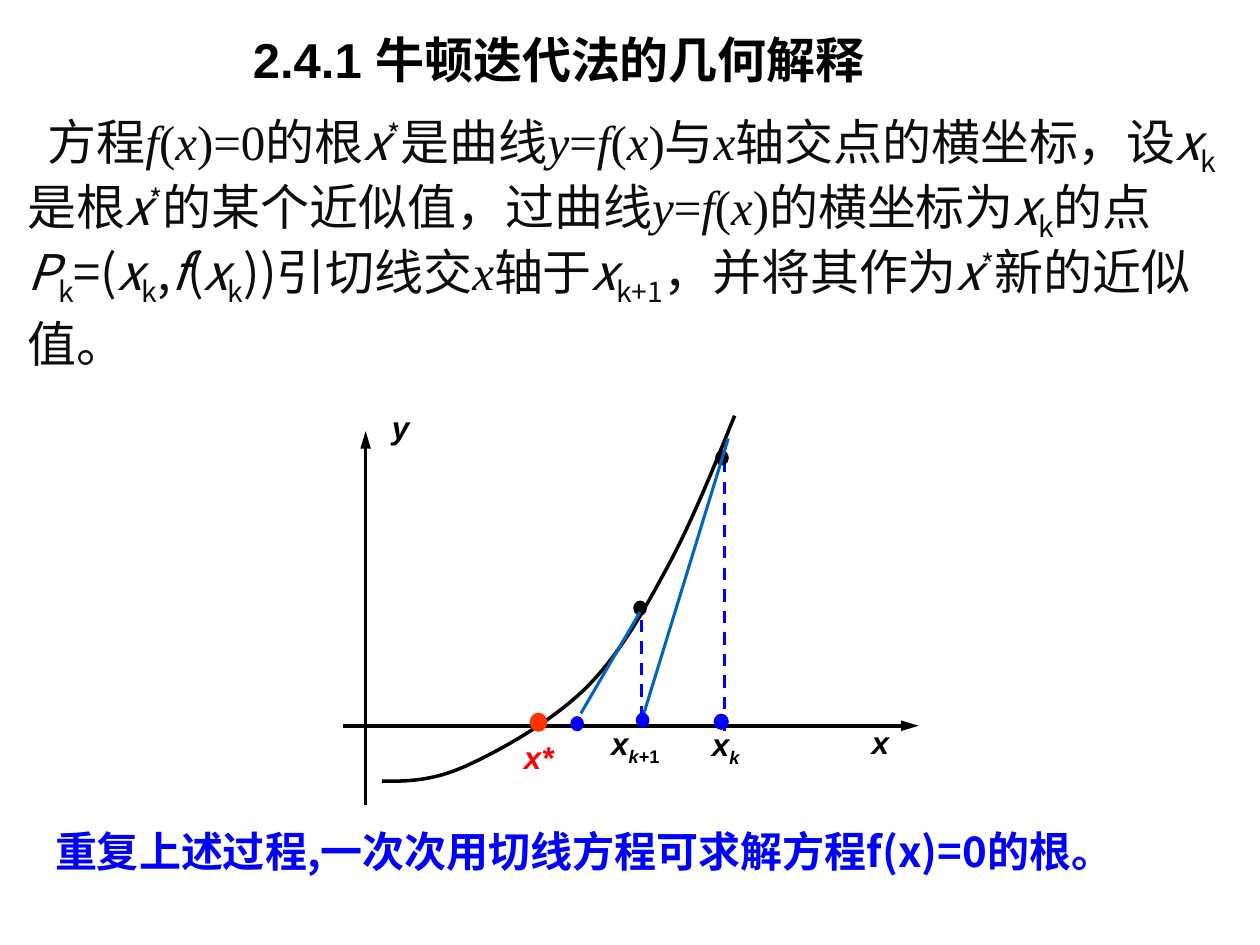
from lxml import etree
from pptx import Presentation
from pptx.dml.color import RGBColor
from pptx.enum.dml import MSO_LINE
from pptx.enum.shapes import MSO_CONNECTOR, MSO_SHAPE
from pptx.enum.text import MSO_ANCHOR
from pptx.oxml.ns import qn
from pptx.util import Cm, Pt

STRAIGHT = MSO_CONNECTOR.STRAIGHT
OVAL = MSO_SHAPE.OVAL
DASH = MSO_LINE.DASH
TOP, MIDDLE = MSO_ANCHOR.TOP, MSO_ANCHOR.MIDDLE

BLACK = RGBColor(0x00, 0x00, 0x00)
INK = RGBColor(0x0D, 0x0D, 0x0D)
BLUE = RGBColor(0x00, 0x00, 0xFF)
TANGENT = RGBColor(0x05, 0x63, 0xC1)
RED = RGBColor(0xFF, 0x00, 0x00)
ORANGE = RGBColor(0xFF, 0x33, 0x00)

ARIAL, TIMES, CJK = "Arial", "Times New Roman", "Noto Sans CJK SC"


def add_run(p, text, font=CJK, size=28, color=INK, bold=False, italic=False, baseline=0):
    r = p.add_run()
    r.text = text
    r.font.name = font
    r.font.size = Pt(size)
    r.font.bold = bold
    r.font.italic = italic
    r.font.color.rgb = color
    rPr = r.font._element
    etree.SubElement(rPr, qn("a:ea")).set("typeface", CJK)
    if baseline:
        rPr.set("baseline", str(baseline * 1000))


def bezier(p0, p1, p2, p3, steps=16):
    for i in range(1, steps + 1):
        t = i / steps
        u = 1 - t
        yield tuple(
            u**3 * a + 3 * u**2 * t * b + 3 * u * t**2 * c + t**3 * d
            for a, b, c, d in zip(p0, p1, p2, p3)
        )


class Slide:
    def __init__(self, prs):
        self.s = prs.slides.add_slide(prs.slide_layouts[6])

    def text(self, x, y, w, h, runs, anchor=TOP, spacing=None, margin=0, indent=0, **style):
        tf = self.s.shapes.add_textbox(Cm(x), Cm(y), Cm(w), Cm(h)).text_frame
        tf.word_wrap = True
        tf.vertical_anchor = anchor
        p = tf.paragraphs[0]
        p.line_spacing = spacing
        if margin:
            pPr = p._p.get_or_add_pPr()
            pPr.set("marL", str(Cm(margin)))
            pPr.set("indent", str(Cm(indent)))
        for text, extra in runs:
            add_run(p, text, **{**style, **extra})

    def label(self, x, y, w, runs, color=BLACK):
        self.text(x, y, w, 1.17, runs, font=ARIAL, size=18, color=color, bold=True, italic=True)

    def line(self, start, end, color, width, dash=None, arrow=False):
        c = self.s.shapes.add_connector(STRAIGHT, *map(Cm, start + end))
        c.line.color.rgb = color
        c.line.width = Pt(width)
        if dash:
            c.line.dash_style = dash
        if arrow:
            head = etree.SubElement(c.line._get_or_add_ln(), qn("a:tailEnd"))
            head.set("type", "triangle")
            head.set("len", "lg")
        etree.SubElement(c._element.spPr, qn("a:effectLst"))

    def dot(self, x, y, color, w=0.25, h=0.28):
        sp = self.s.shapes.add_shape(OVAL, Cm(x), Cm(y), Cm(w), Cm(h))
        sp.shadow.inherit = False
        sp.fill.solid()
        sp.fill.fore_color.rgb = color
        sp.line.color.rgb = color

    def curve(self, points, color, width):
        points = [(Cm(x), Cm(y)) for x, y in points]
        outline = []
        for i in range(0, len(points) - 1, 3):
            outline += bezier(*points[i:i + 4])
        fb = self.s.shapes.build_freeform(*points[0])
        fb.add_line_segments(outline, close=False)
        sp = fb.convert_to_shape()
        sp.shadow.inherit = False
        sp.fill.background()
        sp.line.color.rgb = color
        sp.line.width = Pt(width)


PLAIN, ITALIC = {}, {"italic": True}
SERIF, SERIF_ITALIC = {"font": TIMES}, {"font": TIMES, "italic": True}
SUB, SUP = {"baseline": -25}, {"baseline": 30}
UPRIGHT_SUB = {"baseline": -25, "italic": False}

X = [("x", SERIF_ITALIC)]
F_OF_X = [("f", SERIF_ITALIC), ("(", SERIF), *X, (")", SERIF)]
CURVE = [("y", SERIF_ITALIC), ("=", SERIF), *F_OF_X]
ROOT = [("x", ITALIC), ("*", SUP)]
X_K = [("x", ITALIC), ("k", SUB)]

BODY = [
    ("方程", PLAIN), *F_OF_X, ("=0", SERIF), ("的根", PLAIN), *ROOT,
    ("是曲线", PLAIN), *CURVE, ("与", PLAIN), *X, ("轴交点的横坐标，设", PLAIN), *X_K,
    ("是根", PLAIN), *ROOT, ("的某个近似值，过曲线", PLAIN), *CURVE,
    ("的横坐标为", PLAIN), *X_K, ("的点", PLAIN), ("P", ITALIC), ("k", SUB),
    ("=(", PLAIN), *X_K, (",", PLAIN), ("f", ITALIC), ("(", PLAIN), *X_K,
    ("))引切线交", PLAIN), *X, ("轴于", PLAIN), ("x", ITALIC), ("k+1", SUB),
    ("，并将其作为", PLAIN), *ROOT, ("新的近似值。", PLAIN),
]

FUNCTION_POINTS = [
    (7.7, 15.75), (8.21, 15.75), (8.71, 15.75), (9.4, 15.44),
    (10.06, 15.14), (11.07, 14.58), (11.76, 13.92),
    (12.45, 13.26), (12.95, 12.37), (13.44, 11.46),
    (13.94, 10.54), (14.38, 9.45), (14.81, 8.38),
]


def main():
    prs = Presentation()
    prs.slide_width, prs.slide_height = Cm(25.4), Cm(19.05)
    s = Slide(prs)

    s.text(4.85, 0.51, 12.85, 1.5, [("2.4.1 牛顿迭代法的几何解释", PLAIN)],
           anchor=MIDDLE, spacing=0.9, font=ARIAL, color=BLACK, bold=True)

    s.line((6.91, 14.63), (18.52, 14.63), BLACK, 2, arrow=True)
    s.line((7.37, 16.23), (7.37, 8.69), BLACK, 2, arrow=True)
    s.label(17.32, 14.45, 1.37, [("x", PLAIN)])
    s.label(7.65, 8.1, 1.17, [("y", PLAIN)])

    s.curve(FUNCTION_POINTS, BLACK, 2)
    s.label(10.31, 14.76, 1.6, [("x*", PLAIN)], RED)
    s.dot(10.69, 14.38, ORANGE, 0.33, 0.36)

    s.label(14.1, 14.5, 1.55, [("x", PLAIN), ("k", SUB)])
    s.dot(14.4, 14.4, BLUE, 0.28, 0.3)
    s.line((14.6, 14.73), (14.6, 9.09), BLUE, 1.75, DASH)
    s.dot(14.43, 9.09, BLACK)
    s.line((14.68, 8.84), (12.95, 14.48), TANGENT, 1.75)

    s.label(12.07, 14.48, 2.72, [("x", PLAIN), ("k", SUB), ("+1", UPRIGHT_SUB)])
    s.dot(12.83, 14.38, BLUE)
    s.line((12.93, 14.48), (12.93, 12.34), BLUE, 1.75, DASH)
    s.dot(12.78, 12.12, BLACK)
    s.line((12.9, 12.34), (11.71, 14.38), TANGENT, 1.75)
    s.dot(11.51, 14.45, BLUE)

    s.text(-0.18, 2.17, 25.4, 5.03, BODY, spacing=Pt(37), margin=0.48, indent=0.41)
    s.text(0.86, 16.51, 23.29, 1.27,
           [("重复上述过程,一次次用切线方程可求解方程f(x)=0的根。", PLAIN)],
           size=24, color=BLUE, bold=True)

    prs.save("out.pptx")


if __name__ == "__main__":
    main()
